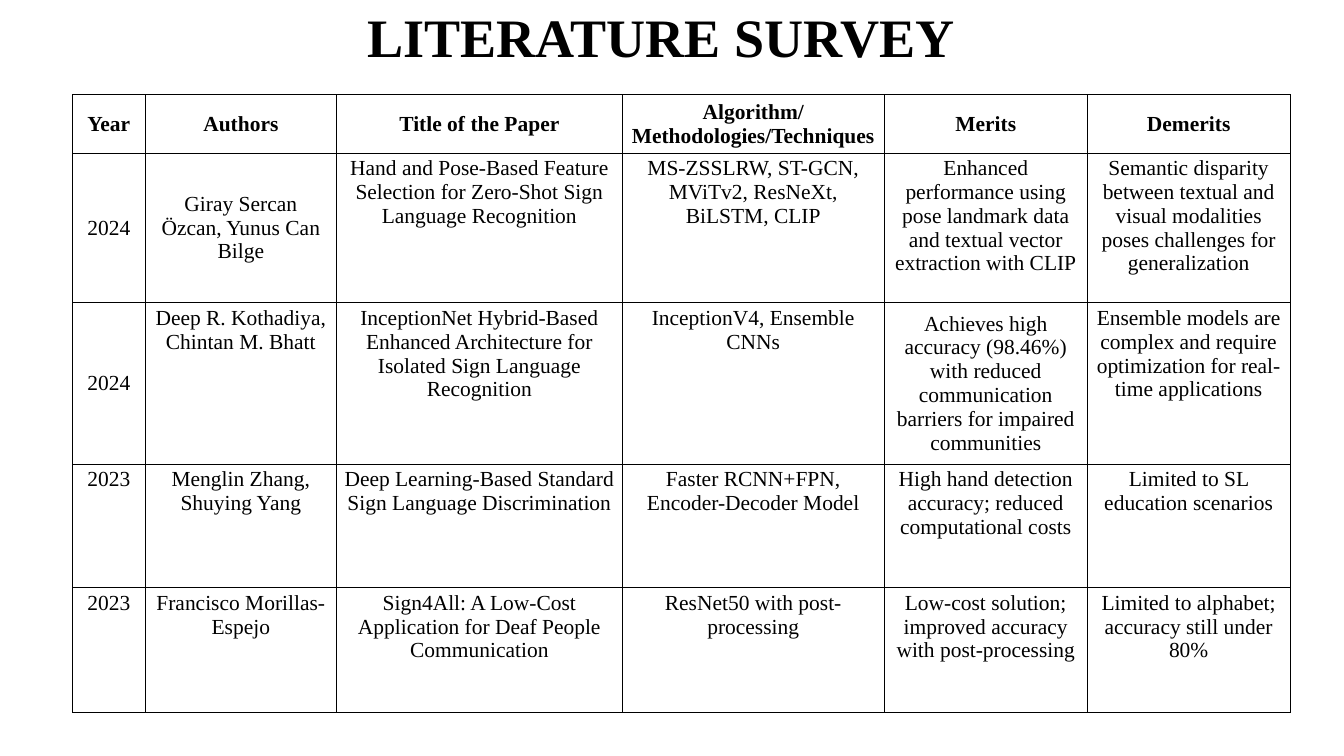
from typing import NamedTuple

from lxml.etree import SubElement
from pptx import Presentation
from pptx.dml.color import RGBColor
from pptx.enum.text import MSO_ANCHOR, PP_ALIGN
from pptx.oxml.ns import qn
from pptx.util import Inches, Pt

FONT = "Times New Roman"
BLACK = "000000"
WHITE = "FFFFFF"
COLUMN_WIDTHS = (1.08, 2.85, 4.25, 3.9, 3.02, 3.02)
ROW_HEIGHTS = (0.86, 2.23, 2.4, 1.84, 1.85)


class Entry(NamedTuple):
    """One table row; `centred` holds the columns anchored in the middle."""
    year: str
    authors: str
    title: str
    methods: str
    merits: str
    demerits: str
    centred: tuple[int, ...] = ()


HEADER = Entry("Year", "Authors", "Title of the Paper",
               "Algorithm/Methodologies/Techniques", "Merits", "Demerits",
               tuple(range(6)))
PAPERS = [
    Entry("2024", "Giray Sercan Özcan, Yunus Can Bilge",
          "Hand and Pose-Based Feature Selection for Zero-Shot Sign Language Recognition",
          "MS-ZSSLRW, ST-GCN, MViTv2, ResNeXt, BiLSTM, CLIP",
          "Enhanced performance using pose landmark data and textual vector extraction with CLIP",
          "Semantic disparity between textual and visual modalities poses challenges for generalization",
          (0, 1)),
    Entry("2024", "Deep R. Kothadiya, Chintan M. Bhatt",
          "InceptionNet Hybrid-Based Enhanced Architecture for Isolated Sign Language Recognition",
          "InceptionV4, Ensemble CNNs",
          "Achieves high accuracy (98.46%) with reduced communication barriers for impaired communities",
          "Ensemble models are complex and require optimization for real-time applications",
          (0, 4)),
    Entry("2023", "Menglin Zhang, Shuying Yang",
          "Deep Learning-Based Standard Sign Language Discrimination",
          "Faster RCNN+FPN, Encoder-Decoder Model",
          "High hand detection accuracy; reduced computational costs",
          "Limited to SL education scenarios"),
    Entry("2023", "Francisco Morillas-Espejo",
          "Sign4All: A Low-Cost Application for Deaf People Communication",
          "ResNet50 with post-processing",
          "Low-cost solution; improved accuracy with post-processing",
          "Limited to alphabet; accuracy still under 80%"),
]


def color(value: str) -> RGBColor:
    return RGBColor.from_string(value)


def write(paragraph, text: str, size: float, bold: bool) -> None:
    paragraph.text = text
    paragraph.alignment = PP_ALIGN.CENTER
    font = paragraph.font
    font.name, font.size, font.bold = FONT, Pt(size), bold
    font.color.rgb = color(BLACK)


def add_borders(cell) -> None:
    properties = cell._tc.get_or_add_tcPr()
    for side in ("a:lnL", "a:lnR", "a:lnT", "a:lnB"):
        line = SubElement(properties, qn(side), w=str(Pt(1)))
        fill = SubElement(line, qn("a:solidFill"))
        SubElement(fill, qn("a:srgbClr"), val=BLACK)


def add_title(slide, text: str) -> None:
    box = slide.shapes.add_textbox(Inches(0.16), Inches(-0.15), Inches(19.36), Inches(1.17))
    frame = box.text_frame
    frame.word_wrap = True
    frame.margin_left = frame.margin_right = frame.margin_top = frame.margin_bottom = 0
    heading = frame.paragraphs[0]
    write(heading, text, 58, True)
    heading.line_spacing = 1.2


def add_survey(slide, entries: list[Entry]) -> None:
    table = slide.shapes.add_table(
        len(entries), len(COLUMN_WIDTHS), Inches(1.08), Inches(1.41),
        Inches(sum(COLUMN_WIDTHS)), Inches(sum(ROW_HEIGHTS))).table
    table.horz_banding = False
    for column, width in zip(table.columns, COLUMN_WIDTHS):
        column.width = Inches(width)
    for row, height, entry in zip(table.rows, ROW_HEIGHTS, entries):
        row.height = Inches(height)
        for index, (cell, text) in enumerate(zip(row.cells, entry)):
            middle = index in entry.centred
            cell.vertical_anchor = MSO_ANCHOR.MIDDLE if middle else MSO_ANCHOR.TOP
            add_borders(cell)
            cell.fill.solid()
            cell.fill.fore_color.rgb = color(WHITE)
            write(cell.text_frame.paragraphs[0], text, 23, entry is HEADER)


def main() -> None:
    presentation = Presentation()
    presentation.slide_width = Inches(20)
    presentation.slide_height = Inches(11.25)
    slide = presentation.slides.add_slide(presentation.slide_layouts[6])
    add_title(slide, "LITERATURE SURVEY")
    add_survey(slide, [HEADER, *PAPERS])
    presentation.save("out.pptx")


if __name__ == "__main__":
    main()
